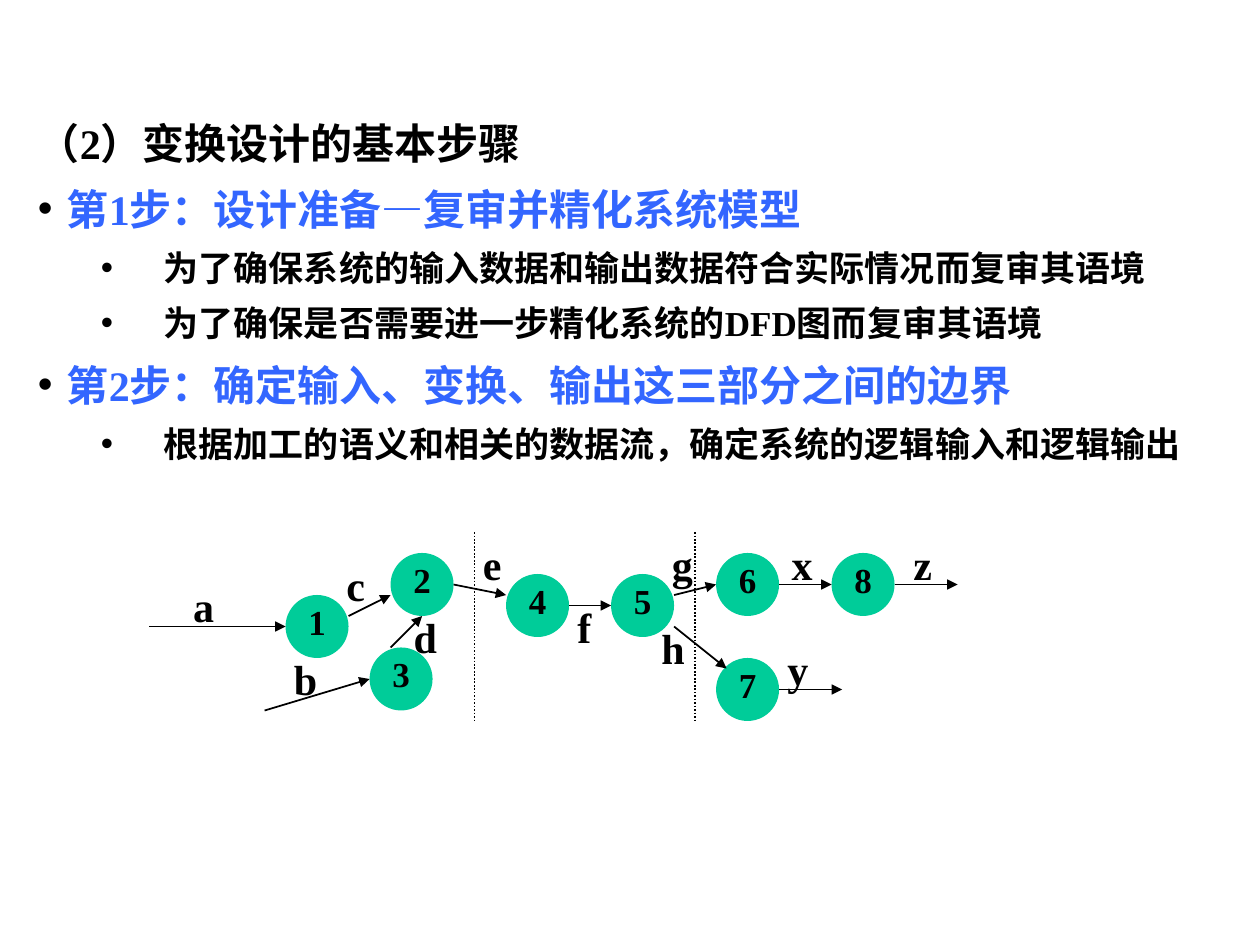
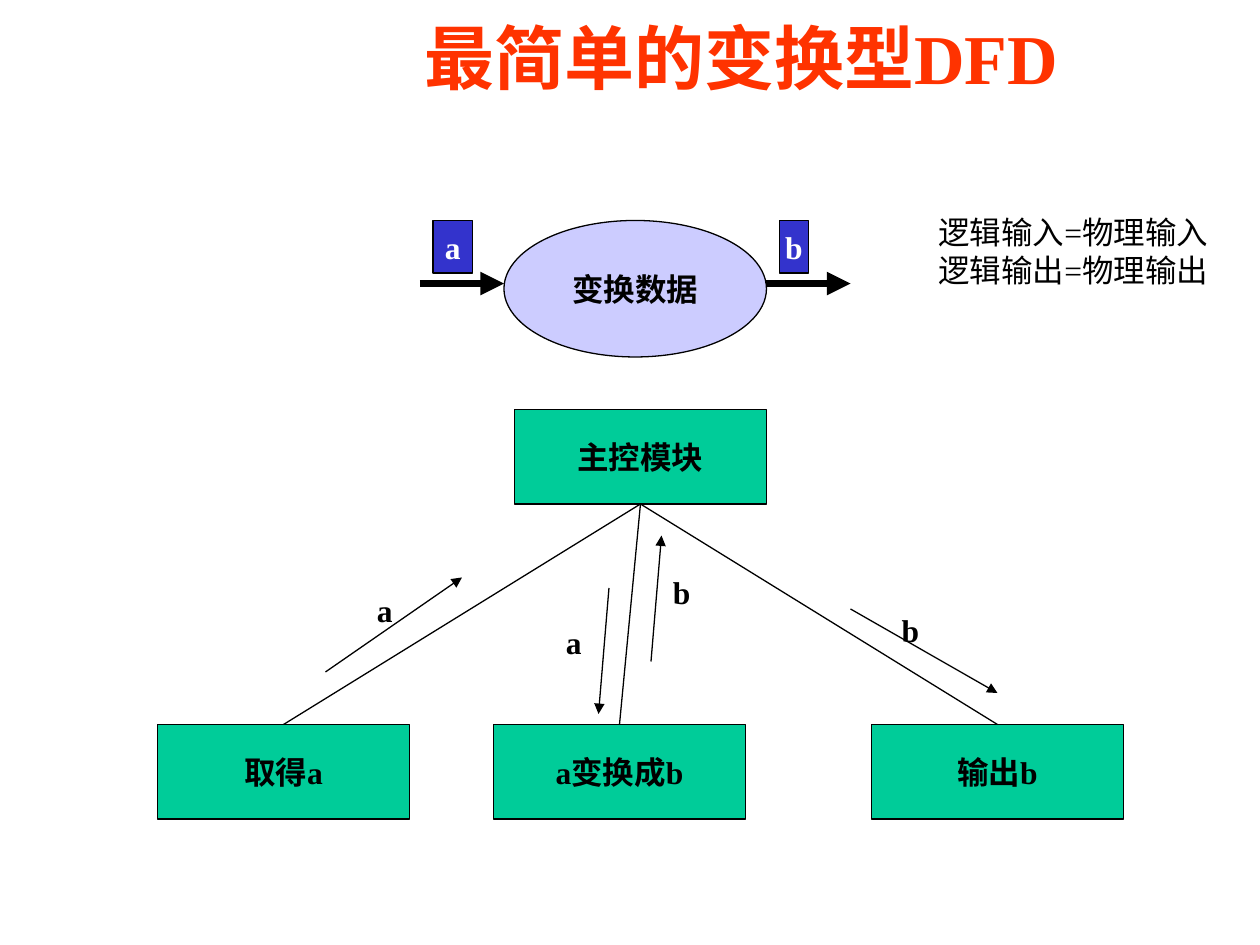
from lxml import etree
from pptx import Presentation
from pptx.dml.color import RGBColor
from pptx.enum.dml import MSO_LINE
from pptx.enum.shapes import MSO_CONNECTOR, MSO_SHAPE
from pptx.enum.text import MSO_ANCHOR, MSO_AUTO_SIZE, PP_ALIGN
from pptx.oxml.ns import qn
from pptx.util import Inches, Pt

STRAIGHT = MSO_CONNECTOR.STRAIGHT
DOTTED = MSO_LINE.ROUND_DOT
OVAL, RECTANGLE = MSO_SHAPE.OVAL, MSO_SHAPE.RECTANGLE
TOP, MIDDLE = MSO_ANCHOR.TOP, MSO_ANCHOR.MIDDLE
NO_AUTOFIT = MSO_AUTO_SIZE.NONE
LEFT, CENTER = PP_ALIGN.LEFT, PP_ALIGN.CENTER

COLUMNS, ROWS = 120, 90
FONT = "Times New Roman"
COLORS = {
    "text": "000000",
    "light": "FFFFFF",
    "title": "FF3300",
    "step": "3366FF",
    "module": "00CC99",
    "process": "CCCCFF",
    "flow": "3333CC",
}
LAYOUTS = {"body": 1, "title": 5}
STEP_INDENT = (0.23, -0.23)
DETAIL_INDENT = (1, -0.5)


class Deck:
    def __init__(self):
        self.presentation = Presentation()
        self.presentation.slide_width = Inches(10)
        self.presentation.slide_height = Inches(7.5)
        self.slide = None
        self.origin = (0, 0)

    def color(self, name):
        return RGBColor.from_string(COLORS[name])

    def start(self, layout, origin=(0, 0)):
        layouts = self.presentation.slide_layouts
        self.slide = self.presentation.slides.add_slide(layouts[LAYOUTS[layout]])
        self.origin = origin

    def point(self, column, row):
        return (
            round((column + self.origin[0]) * self.presentation.slide_width / COLUMNS),
            round((row + self.origin[1]) * self.presentation.slide_height / ROWS),
        )

    def box(self, column, row, columns, rows):
        left, top = self.point(column, row)
        right, bottom = self.point(column + columns, row + rows)
        return left, top, right - left, bottom - top

    def place(self, shape, *cells):
        shape.left, shape.top, shape.width, shape.height = self.box(*cells)

    def style(self, paragraph, size, color="text", bold=True, align=LEFT):
        paragraph.alignment = align
        font = paragraph.font
        font.name, font.size, font.bold = FONT, Pt(size), bold
        font.color.rgb = self.color(color)

    def title(self, text, *cells):
        shape = self.slide.shapes.title
        self.place(shape, *cells)
        frame = shape.text_frame
        frame.text = text
        frame.auto_size = NO_AUTOFIT
        frame.vertical_anchor = MIDDLE
        self.style(frame.paragraphs[0], 40, "title", align=CENTER)

    def bullet(self, paragraph, indent):
        properties = paragraph._p.get_or_add_pPr()
        left, first = indent or (0, 0)
        properties.set("marL", str(Inches(left)))
        properties.set("indent", str(Inches(first)))
        if not indent:
            etree.SubElement(properties, qn("a:buNone"))
            return
        bullet_color = etree.SubElement(properties, qn("a:buClr"))
        etree.SubElement(bullet_color, qn("a:srgbClr"), val=COLORS["text"])
        etree.SubElement(properties, qn("a:buChar"), char="•")

    def outline(self, lines, *cells):
        title = self.slide.shapes.title
        title.element.getparent().remove(title.element)
        shape = self.slide.placeholders[1]
        self.place(shape, *cells)
        frame = shape.text_frame
        frame.auto_size = NO_AUTOFIT
        frame.vertical_anchor = TOP
        frame.text = "\n".join(text for text, *_ in lines)
        for index, (paragraph, line) in enumerate(zip(frame.paragraphs, lines)):
            _, level, size, color, indent = line
            paragraph.level = level
            self.bullet(paragraph, indent)
            paragraph.line_spacing = 1.1
            paragraph.space_before = Pt(size / 4 if index else 0)
            self.style(paragraph, size, color)

    def node(self, kind, text, cells, fill, size=18, color="text", outlined=True):
        shape = self.slide.shapes.add_shape(kind, *self.box(*cells))
        shape.shadow.inherit = False
        shape.fill.solid()
        shape.fill.fore_color.rgb = self.color(fill)
        if outlined:
            shape.line.color.rgb = self.color("text")
            shape.line.width = Pt(0.75)
        else:
            shape.line.fill.background()
        frame = shape.text_frame
        frame.text = text
        frame.word_wrap = False
        frame.vertical_anchor = MIDDLE
        self.style(frame.paragraphs[0], size, color, align=CENTER)
        return shape

    def circle(self, text, column, row):
        shape = self.node(OVAL, text, (column, row, 6, 6), "module", 20, outlined=False)
        shape.text_frame.margin_top = 0
        shape.text_frame.margin_bottom = Inches(0.08)

    def label(self, text, cells, size, bold=True):
        frame = self.slide.shapes.add_textbox(*self.box(*cells)).text_frame
        frame.word_wrap = True
        frame.text = text
        for paragraph in frame.paragraphs:
            self.style(paragraph, size, bold=bold)

    def line(self, start, end, width, arrow=True, dash=None):
        connector = self.slide.shapes.add_connector(
            STRAIGHT, *self.point(*start), *self.point(*end)
        )
        connector.line.color.rgb = self.color("text")
        connector.line.width = Pt(width)
        if dash:
            connector.line.dash_style = dash
        properties = connector._element.spPr
        if arrow:
            etree.SubElement(properties.find(qn("a:ln")), qn("a:tailEnd"), type="triangle")
        etree.SubElement(properties, qn("a:effectLst"))


def design_steps(deck):
    deck.start("body")
    step = (0, 24, "step", STEP_INDENT)
    detail = (1, 20, "text", DETAIL_INDENT)
    deck.outline([
        ("（2）变换设计的基本步骤", 0, 24, "text", None),
        ("第1步：设计准备—复审并精化系统模型", *step),
        ("为了确保系统的输入数据和输出数据符合实际情况而复审其语境", *detail),
        ("为了确保是否需要进一步精化系统的DFD图而复审其语境", *detail),
        ("第2步：确定输入、变换、输出这三部分之间的边界", *step),
        ("根据加工的语义和相关的数据流，确定系统的逻辑输入和逻辑输出", *detail),
    ], 2.4, 10.1, 114.4, 63.4)

    deck.origin = (0.2, 0.67)
    processes = [(27, 56), (37, 52), (35, 61), (48, 54),
                 (58, 54), (68, 52), (68, 62), (79, 52)]
    for number, cell in enumerate(processes, 1):
        deck.circle(str(number), *cell)

    for boundary in (45, 66):
        deck.line((boundary, 50), (boundary, 68), 1, arrow=False, dash=DOTTED)

    flows = [
        ("a", (14, 59), (27, 59), (17, 54)),
        ("b", (25, 67), (35, 64), (26.6, 61)),
        ("c", (33, 58), (37, 56), (31.6, 52)),
        ("d", (37, 61), (40, 58), (38, 57)),
        ("e", (43, 55), (48, 56), (44.6, 50)),
        ("f", (54, 57), (58, 57), (53.6, 56)),
        ("g", (64, 56), (68, 55), (62.6, 50)),
        ("h", (64, 59), (69, 63), (61.6, 58)),
        ("x", (74, 55), (79, 55), (74, 50)),
        ("y", (74, 65), (80, 65), (73.6, 60)),
        ("z", (85, 55), (91, 55), (85.6, 50)),
    ]
    for name, start, end, corner in flows:
        deck.line(start, end, 1)
        deck.label(name, (*corner, 4.5, 6), 24)


def simplest_transform(deck):
    deck.start("title")
    deck.title("最简单的变换型DFD", 23.5, 0, 94.2, 10.8)

    deck.node(OVAL, "变换数据", (48, 21, 25, 13), "process")
    for start in (40, 73):
        deck.line((start, 27), (start + 8, 27), 4.5)
    for name, column, columns in (("a", 41.25, 3.75), ("b", 74.25, 2.75)):
        deck.node(RECTANGLE, name, (column, 21, columns, 5), "flow", color="light")
    deck.label("逻辑输入=物理输入\n逻辑输出=物理输出", (88.2, 19.7, 29.5, 8.4), 18, bold=False)

    deck.node(RECTANGLE, "主控模块", (49, 39, 24, 9), "module")
    for name, column in (("取得a", 15), ("a变换成b", 47), ("输出b", 83)):
        deck.node(RECTANGLE, name, (column, 69, 24, 9), "module")
        deck.line((61, 48), (column + 12, 69), 0.75, arrow=False)

    flows = [
        ("a", (31, 64), (44, 55), (34.7, 55.7)),
        ("a", (58, 56), (57, 68), (52.7, 58.7)),
        ("b", (62, 63), (63, 51), (62.9, 54)),
        ("b", (81, 58), (95, 66), (84.7, 57.6)),
    ]
    for name, start, end, corner in flows:
        deck.line(start, end, 0.75)
        deck.label(name, (*corner, 4.5, 4.8), 18)


def main():
    deck = Deck()
    design_steps(deck)
    simplest_transform(deck)
    deck.presentation.save("out.pptx")


if __name__ == "__main__":
    main()
